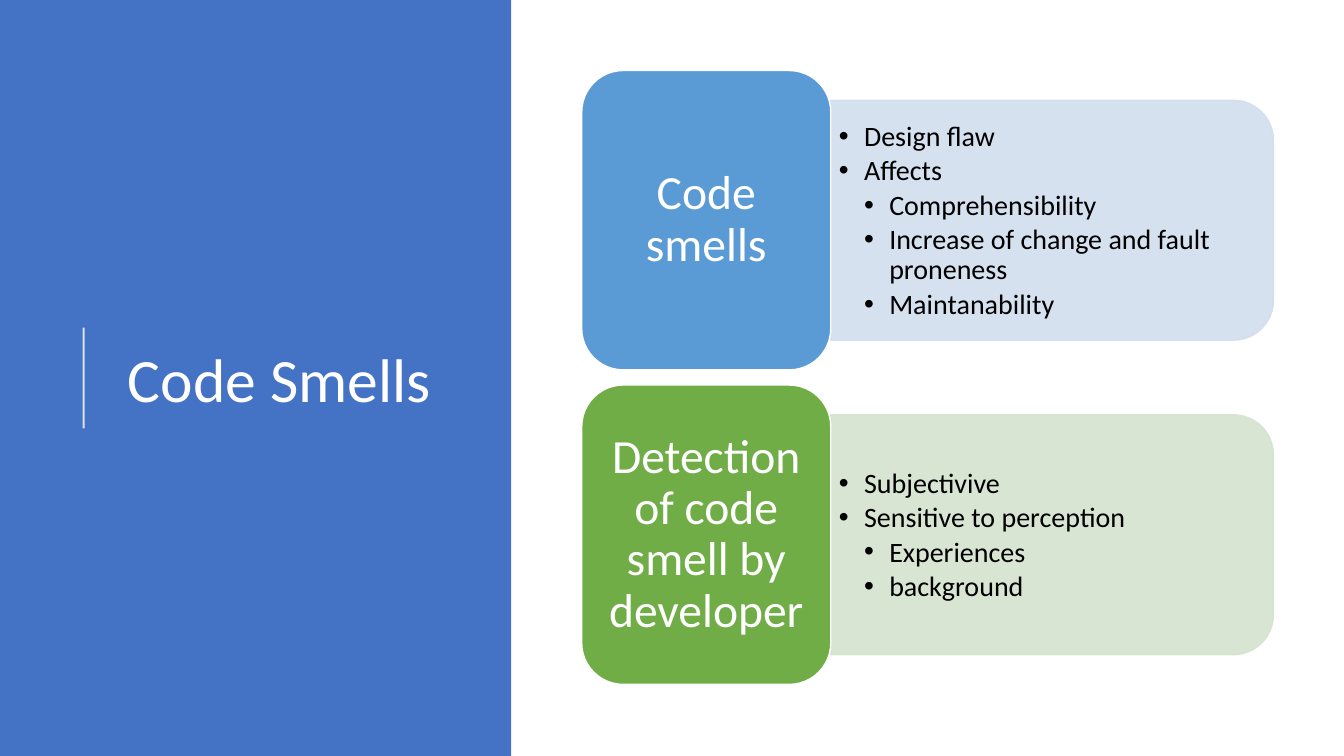
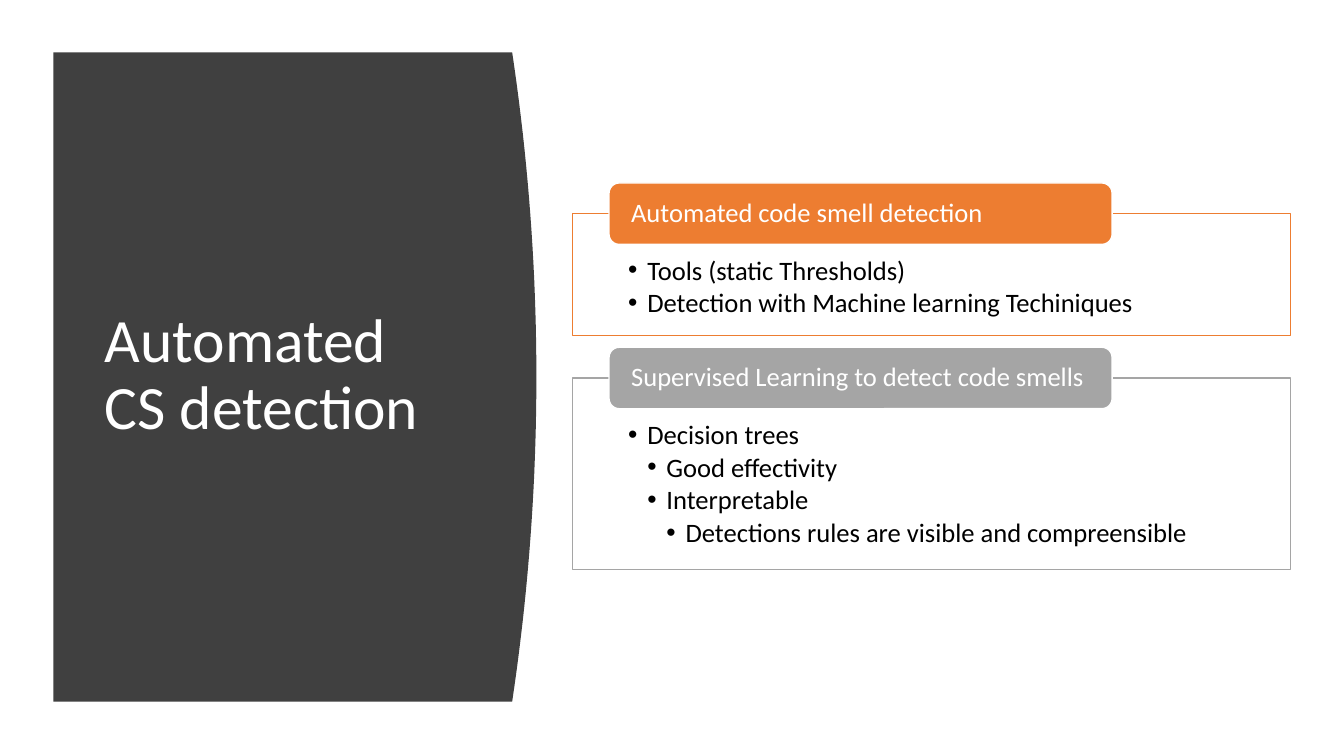
from dataclasses import dataclass

from lxml.etree import SubElement
from pptx import Presentation
from pptx.dml.color import RGBColor
from pptx.enum.shapes import MSO_CONNECTOR, MSO_SHAPE
from pptx.enum.text import MSO_ANCHOR, PP_ALIGN
from pptx.oxml.ns import qn
from pptx.util import Emu, Pt

PX = 9144


@dataclass(frozen=True)
class Theme:
    """Colours, font and type sizes shared by the slides."""

    font: str = "Calibri"
    white: str = "FFFFFF"
    ink: str = "000000"
    band: str = "4472C4"
    dark: str = "404040"
    blue: str = "5B9BD5"
    blue_tint: str = "D2DEEF"
    green: str = "70AD47"
    green_tint: str = "D5E3CF"
    orange: str = "ED7D31"
    grey: str = "A5A5A5"
    title_size: int = 44
    tile_size: int = 34
    list_size: int = 20
    section_size: int = 19


THEME = Theme()


def px(value):
    """Turn px, a hundredth of an inch each, into EMU."""
    return Emu(round(value * PX))


def assign(target, values):
    """Set each named attribute of the target."""
    for name, value in values.items():
        setattr(target, name, value)


def fade(shape, percent):
    """Make the fill and line colours of a shape translucent."""
    for color in shape._element.spPr.iter(qn("a:srgbClr")):
        SubElement(color, qn("a:alpha"), val=str(percent * 1000))


def paint(shape, fill, line=None):
    """Give a shape a flat fill and a thin or absent line."""
    shape.shadow.inherit = False
    shape.fill.solid()
    shape.fill.fore_color.rgb = RGBColor.from_string(fill)
    if line:
        shape.line.color.rgb = RGBColor.from_string(line)
        shape.line.width = Pt(1)
    else:
        shape.line.fill.background()


def add_block(slide, kind, box, fill, line=None):
    """Add a painted preset shape."""
    block = slide.shapes.add_shape(kind, *map(px, box))
    paint(block, fill, line)
    return block


def add_text_box(slide, box):
    """Add an empty text box."""
    return slide.shapes.add_textbox(*map(px, box))


def set_frame(shape, insets, anchor=MSO_ANCHOR.MIDDLE):
    """Set wrapping, anchor and the left, top, right and bottom insets."""
    sides = ("margin_left", "margin_top", "margin_right", "margin_bottom")
    frame = shape.text_frame
    assign(frame, {"word_wrap": True, "vertical_anchor": anchor,
                   **dict(zip(sides, map(px, insets)))})
    return frame


def write(paragraph, text, size, color, align=PP_ALIGN.LEFT, after=0):
    """Write one styled paragraph."""
    assign(paragraph, {"alignment": align, "line_spacing": 0.9, "space_after": Pt(after)})
    run = paragraph.add_run()
    run.text = text
    assign(run.font, {"name": THEME.font, "size": Pt(size)})
    run.font.color.rgb = RGBColor.from_string(color)


def write_bullets(frame, items, size, step):
    """Write (level, text) items as a bulleted list indented by a fixed step."""
    for index, (level, text) in enumerate(items):
        paragraph = frame.add_paragraph() if index else frame.paragraphs[0]
        write(paragraph, text, size, THEME.ink, after=size * 0.15)
        paragraph.level = level
        properties = paragraph._p.get_or_add_pPr()
        properties.set("marL", str(px(step * level)))
        properties.set("indent", str(px(-step)))
        SubElement(properties, qn("a:buFont"), typeface="Arial")
        SubElement(properties, qn("a:buChar"), char="•")


def add_title(slide, text, box):
    """Add the white slide title."""
    frame = set_frame(add_text_box(slide, box), (10, 5, 10, 5))
    write(frame.paragraphs[0], text, THEME.title_size, THEME.white)


def add_title_rule(slide, x, top, bottom):
    """Add the translucent vertical rule beside the title."""
    rule = slide.shapes.add_connector(MSO_CONNECTOR.STRAIGHT, *map(px, (x, bottom, x, top)))
    rule.line.color.rgb = RGBColor.from_string(THEME.white)
    rule.line.width = Pt(1.5)
    fade(rule, 80)
    SubElement(rule._element.spPr, qn("a:effectLst"))


def add_curved_panel(slide, left, top, right, bottom, bulge):
    """Add the dark title panel whose right edge bulges as a parabola."""
    middle, half, steps = (top + bottom) / 2, (bottom - top) / 2, 40
    edge = []
    for step in range(steps + 1):
        offset = 2 * step / steps - 1
        edge.append((px(right - bulge * offset ** 2), px(middle + half * offset)))
    outline = slide.shapes.build_freeform(px(left), px(top), scale=1)
    outline.add_line_segments(edge + [(px(left), px(bottom))], close=True)
    paint(outline.convert_to_shape(), THEME.dark)


def add_topic_row(slide, top, label, color, tint, items):
    """Add a coloured tile with a tinted bullet panel to its right."""
    tile_left, tile_width, tile_height = 577, 247, 297
    left, width, height = tile_left + tile_width, 439, 238
    panel_top = top + (tile_height - height) / 2
    shift = (width - height) / 2
    panel = add_block(slide, MSO_SHAPE.ROUND_2_SAME_RECTANGLE,
                      (left + shift, panel_top - shift, height, width), tint, tint)
    panel.rotation = 90
    fade(panel, 90)
    listing = add_text_box(slide, (left, top + 42, 427, 215))
    write_bullets(set_frame(listing, (8, 4, 8, 4)), items, THEME.list_size, 25)
    tile = add_block(slide, MSO_SHAPE.ROUNDED_RECTANGLE,
                     (tile_left, top, tile_width, tile_height), color, THEME.white)
    write(set_frame(tile, (14, 7, 14, 7)).paragraphs[0], label,
          THEME.tile_size, THEME.white, PP_ALIGN.CENTER)


def add_section(slide, top, height, label, color, items):
    """Add an outlined bullet box with a heading tag across its top edge."""
    tag_height = 61
    box = add_block(slide, MSO_SHAPE.RECTANGLE, (568, top, 712, height), THEME.white, color)
    frame = set_frame(box, (55, 43, 55, 15), MSO_ANCHOR.TOP)
    write_bullets(frame, items, THEME.section_size, 19)
    tag = add_block(slide, MSO_SHAPE.ROUNDED_RECTANGLE,
                    (604, top - tag_height / 2, 499, tag_height), color, THEME.white)
    write(set_frame(tag, (19, 0, 19, 0)).paragraphs[0], label,
          THEME.section_size, THEME.white)


def build_code_smells(slide):
    """Build the slide that defines code smells."""
    add_block(slide, MSO_SHAPE.RECTANGLE, (0, 0, 507, 750), THEME.band)
    add_title(slide, "Code Smells", (117, 78, 355, 602))
    add_title_rule(slide, 83, 325, 425)
    topics = [
        ("Code smells", THEME.blue, THEME.blue_tint,
         [(1, "Design flaw"), (1, "Affects"), (2, "Comprehensibility"),
          (2, "Increase of change and fault proneness"), (2, "Maintanability")]),
        ("Detection of code smell by developer", THEME.green, THEME.green_tint,
         [(1, "Subjectivive"), (1, "Sensitive to perception"),
          (2, "Experiences"), (2, "background")]),
    ]
    for row, topic in enumerate(topics):
        add_topic_row(slide, 70 + 312 * row, *topic)


def build_automated_detection(slide):
    """Build the slide about automated detection."""
    add_curved_panel(slide, 53, 52, 532, 696, 24)
    add_title(slide, "Automated CS detection", (94, 111, 360, 524))
    sections = [
        (121, "Automated code smell detection", THEME.orange,
         [(1, "Tools (static Thresholds)"),
          (1, "Detection with Machine learning Techiniques")]),
        (190, "Supervised Learning to detect code smells", THEME.grey,
         [(1, "Decision trees"), (2, "Good effectivity"), (2, "Interpretable"),
          (3, "Detections rules are visible and compreensible")]),
    ]
    top, gap = 212, 42
    for height, *content in sections:
        add_section(slide, top, height, *content)
        top += height + gap


def main():
    """Build and save the presentation."""
    deck = Presentation()
    assign(deck, {"slide_width": px(1333), "slide_height": px(750)})
    for build in (build_code_smells, build_automated_detection):
        build(deck.slides.add_slide(deck.slide_layouts[6]))
    deck.save("out.pptx")


if __name__ == "__main__":
    main()
